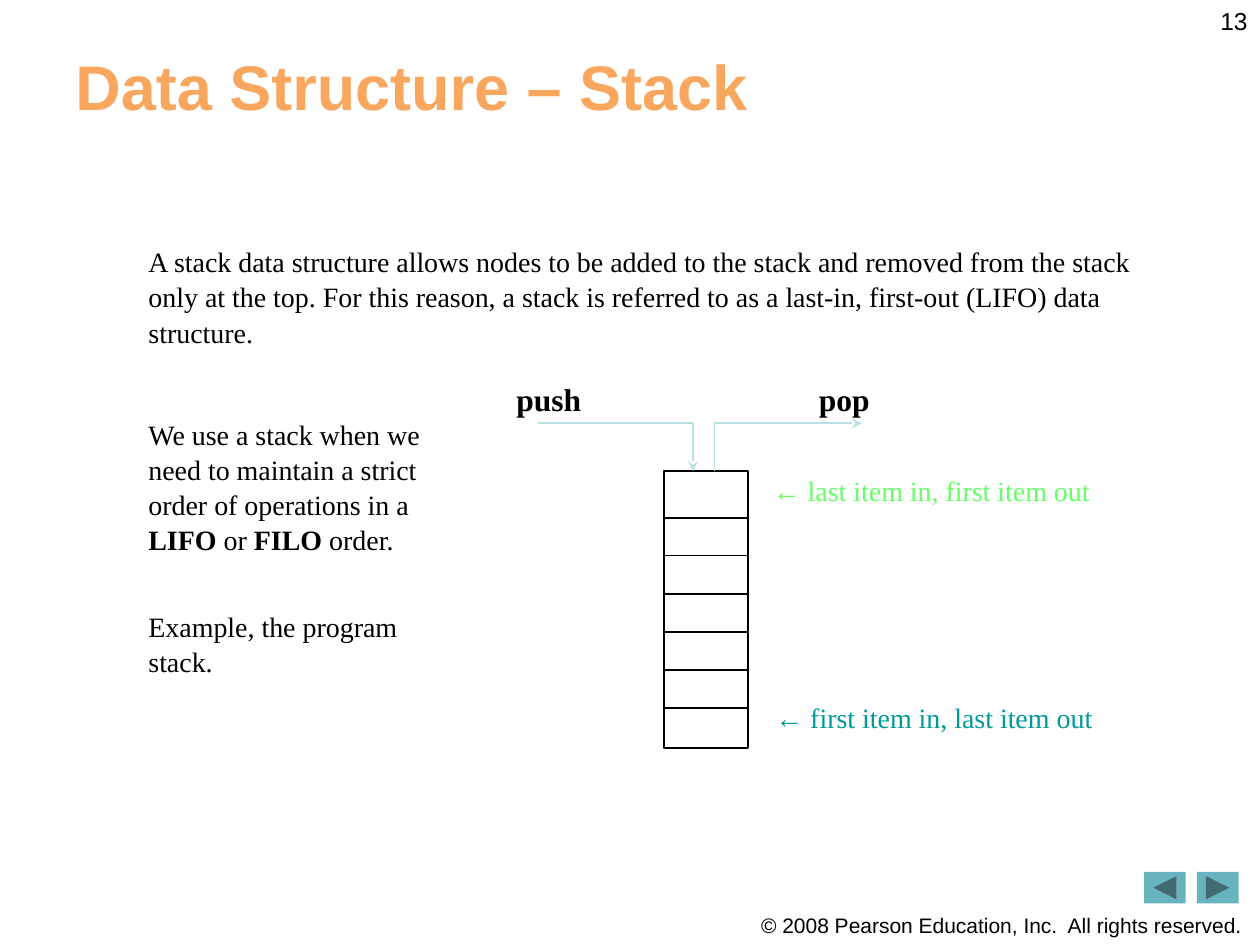
from dataclasses import dataclass

import pptx
import pptx.dml.color
import pptx.enum.shapes
import pptx.enum.text
import pptx.oxml
import pptx.oxml.ns
import pptx.util
from pptx.util import Inches

SHAPE = pptx.enum.shapes.MSO_SHAPE
ALIGN = pptx.enum.text.PP_ALIGN
ANCHOR = pptx.enum.text.MSO_ANCHOR


@dataclass(frozen=True)
class Theme:
    sans: str = "Arial"
    serif: str = "Times New Roman"
    ink: str = "000000"
    title: str = "F9A75E"
    button: str = "67B4BF"
    arrow: str = "BBE0E3"
    newest: str = "66FF66"
    oldest: str = "009999"
    title_size: int = 36
    label_size: int = 18
    body_size: int = 16
    number_size: int = 14
    footer_size: int = 12
    line_width: int = 1
    serif_spacing: float = 1.05
    body_after: float = 5
    label_after: float = 5.6
    body_gap: float = 24.3


def rgb(code):
    return pptx.dml.color.RGBColor.from_string(code)


class StackSlide:
    def __init__(self, page, theme):
        self.page = page
        self.theme = theme

    def text(self, area, paragraphs, size, color=None, font=None, bold=False,
             wrap=True, align=ALIGN.LEFT, anchor=ANCHOR.TOP, top_inset=0.05,
             after=0, gap=0):
        """Each paragraph is a list of (text, font changes) spans."""
        box = self.page.shapes.add_textbox(*map(Inches, area))
        frame = box.text_frame
        frame.word_wrap = wrap
        frame.vertical_anchor = anchor
        frame.margin_top = Inches(top_inset)
        font = font or self.theme.serif
        for index, spans in enumerate(paragraphs):
            para = frame.paragraphs[0] if index == 0 else frame.add_paragraph()
            para.alignment = align
            para.space_after = pptx.util.Pt(after)
            if index:
                para.space_before = pptx.util.Pt(gap)
            if font == self.theme.serif:
                para.line_spacing = self.theme.serif_spacing
            para.font.name = font
            para.font.size = pptx.util.Pt(size)
            para.font.bold = bold
            para.font.color.rgb = rgb(color or self.theme.ink)
            for words, changes in spans:
                span = para.add_run()
                span.text = words
                for name, value in changes.items():
                    setattr(span.font, name, value)

    def label(self, area, words):
        self.text(area, [[(words, {})]], self.theme.label_size, bold=True,
                  wrap=False, after=self.theme.label_after)

    def annotation(self, area, words, color):
        spans = [(" ", {}), ("←", {"name": self.theme.sans}), (" " + words, {})]
        self.text(area, [spans], self.theme.body_size, color=color,
                  wrap=False, after=self.theme.body_after)

    def cell(self, top, height):
        cell = self.page.shapes.add_shape(
            SHAPE.RECTANGLE, Inches(5.27), Inches(top), Inches(0.67), Inches(height))
        cell.shadow.inherit = False
        cell.fill.background()
        cell.line.color.rgb = rgb(self.theme.ink)
        cell.line.width = pptx.util.Pt(self.theme.line_width)

    def button(self, left, rotation):
        button = self.page.shapes.add_shape(
            SHAPE.ACTION_BUTTON_FORWARD_OR_NEXT,
            Inches(left), Inches(6.92), Inches(0.33), Inches(0.25))
        button.rotation = rotation
        button.shadow.inherit = False
        button.fill.solid()
        button.fill.fore_color.rgb = rgb(self.theme.button)
        button.line.fill.background()

    def line(self, start, end, arrow=False):
        line = self.page.shapes.add_connector(
            pptx.enum.shapes.MSO_CONNECTOR.STRAIGHT, *map(Inches, start + end))
        line.line.color.rgb = rgb(self.theme.arrow)
        line.line.width = pptx.util.Pt(self.theme.line_width)
        if arrow:
            tail = pptx.oxml.parse_xml(
                f'<a:tailEnd {pptx.oxml.ns.nsdecls("a")} type="stealth"/>')
            line.line._get_or_add_ln().append(tail)
        line._element.spPr.append(
            pptx.oxml.parse_xml(f'<a:effectLst {pptx.oxml.ns.nsdecls("a")}/>'))


def main():
    deck = pptx.Presentation()
    deck.slide_width, deck.slide_height = Inches(10), Inches(7.5)
    theme = Theme()
    slide = StackSlide(deck.slides.add_slide(deck.slide_layouts[6]), theme)

    slide.button(9.5, 0)
    slide.button(9.08, 180)
    slide.text((5.93, 7.19, 4.04, 0.3),
               [[("© 2008 Pearson Education, Inc.  All rights reserved.", {})]],
               theme.footer_size, font=theme.sans, wrap=False, align=ALIGN.CENTER)
    slide.text((0.5, 0.08, 9, 1.25), [[("Data Structure – Stack", {})]],
               theme.title_size, color=theme.title, font=theme.sans, bold=True,
               anchor=ANCHOR.MIDDLE, top_inset=0)
    slide.text((7.67, 0, 2.33, 0.52), [[("13", {})]], theme.number_size,
               font=theme.sans, align=ALIGN.RIGHT)

    # Three inner cells divide the tall rectangle into seven slots.
    stack_top = 3.74
    slide.cell(stack_top, 2.2)
    for index in range(3):
        slide.cell(4.11 + 0.605 * index, 0.3)

    arrow_level = 3.36
    push_x, pop_x = 5.5, 5.67
    slide.label((4, 2.95, 0.72, 0.4), "push")
    slide.line((4.27, arrow_level), (push_x, arrow_level))
    slide.line((push_x, arrow_level), (push_x, stack_top), arrow=True)
    slide.label((6.4, 2.95, 0.61, 0.4), "pop")
    slide.line((pop_x, arrow_level), (pop_x, stack_top))
    slide.line((pop_x, arrow_level), (6.84, arrow_level), arrow=True)

    slide.annotation((5.98, 3.7, 2.77, 0.37), "last item in, first item out", theme.newest)
    slide.annotation((6, 5.5, 2.77, 0.37), "first item in, last item out", theme.oldest)

    slide.text((1.08, 1.88, 8.25, 0.9), [[(
        "A stack data structure allows nodes to be added to the stack and removed "
        "from the stack only at the top. For this reason, a stack is referred to "
        "as a last-in, first-out (LIFO) data structure.", {})]],
        theme.body_size, after=theme.body_after)
    strong = {"bold": True}
    slide.text((1.08, 3.25, 2.67, 2.11), [
        [("We use a stack when we need to maintain a strict order of operations in a ", {}),
         ("LIFO", strong), (" or ", {}), ("FILO", strong), (" order.", {})],
        [("Example, the program stack.", {})],
    ], theme.body_size, after=theme.body_after, gap=theme.body_gap)

    deck.save("out.pptx")


if __name__ == "__main__":
    main()
